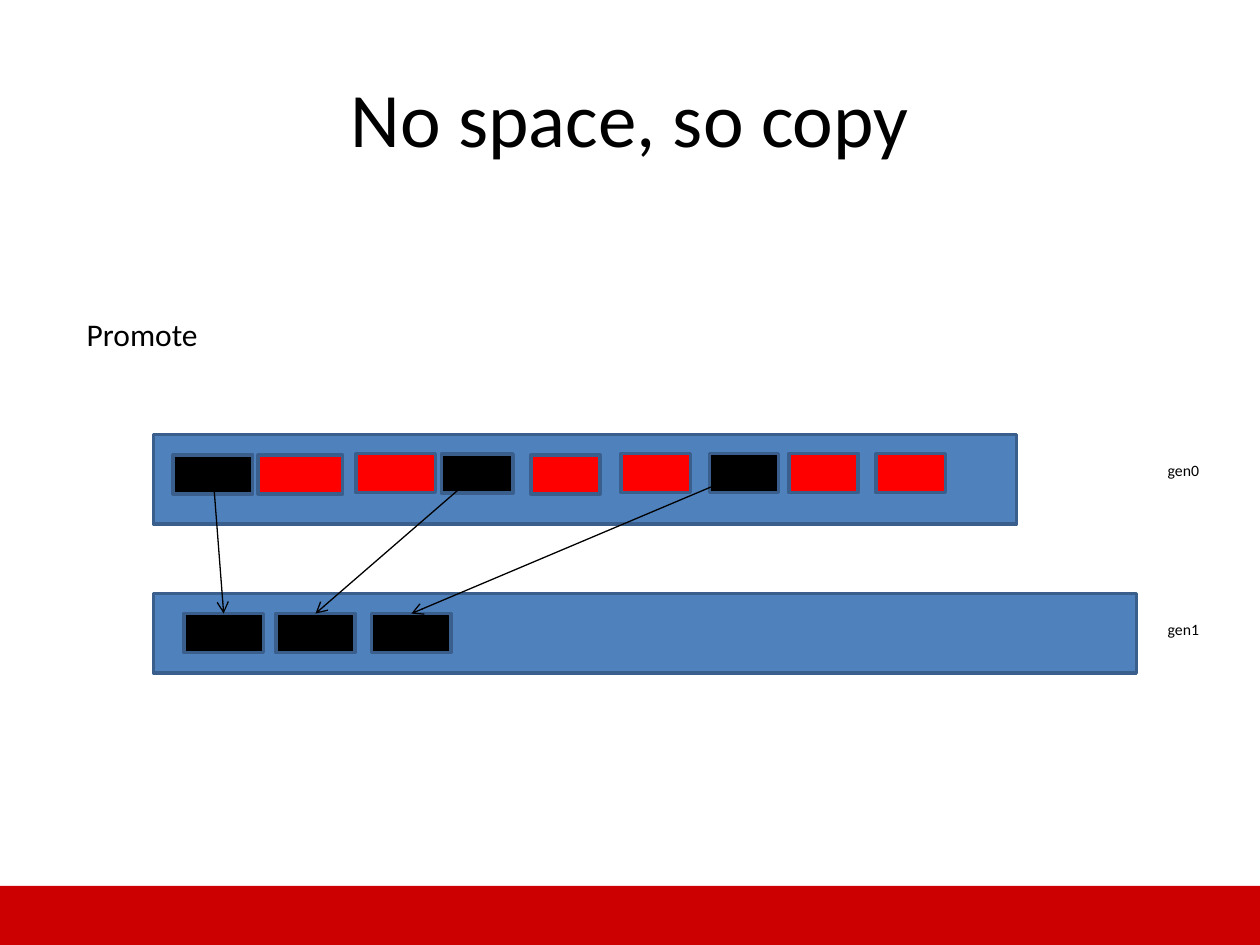
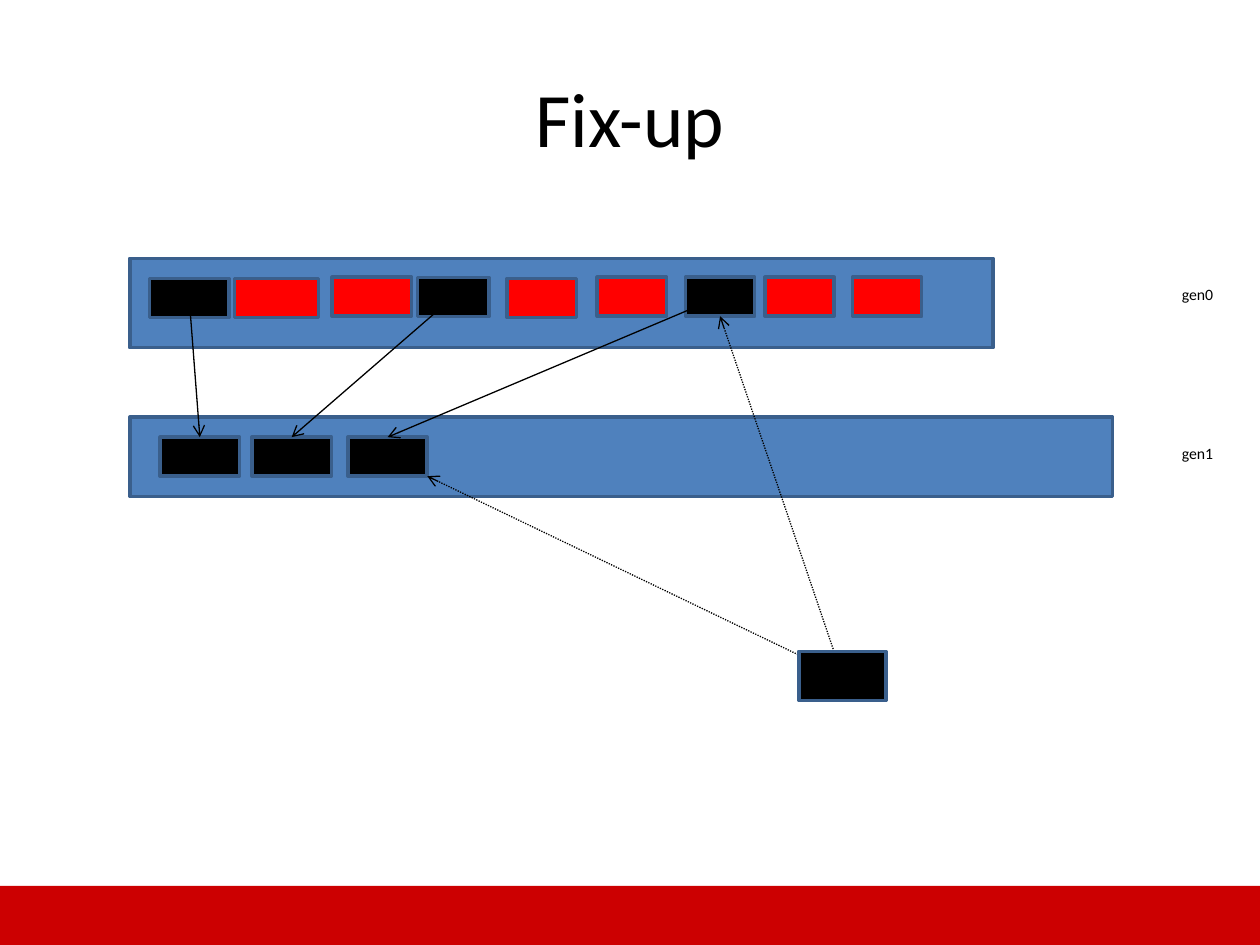
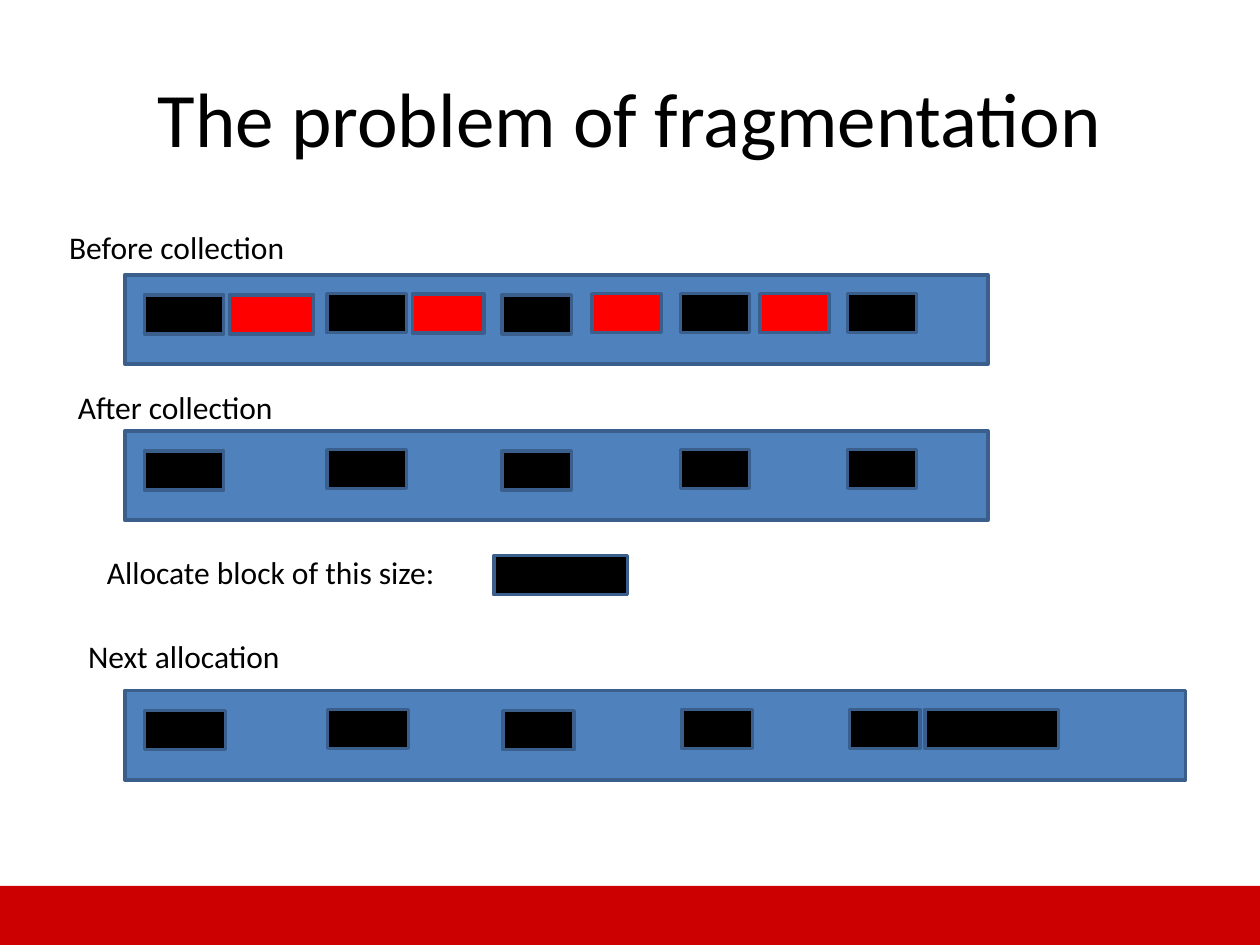
from pptx import Presentation
from pptx.dml.color import RGBColor
from pptx.enum.dml import MSO_LINE
from pptx.enum.shapes import MSO_CONNECTOR, MSO_SHAPE
from pptx.enum.text import MSO_ANCHOR, MSO_AUTO_SIZE, PP_ALIGN
from pptx.oxml.ns import qn
from pptx.util import Pt
from lxml.etree import SubElement

BLACK = RGBColor(0x00, 0x00, 0x00)
RED = RGBColor(0xFF, 0x00, 0x00)
BLUE = RGBColor(0x4F, 0x81, 0xBD)
EDGE = RGBColor(0x3A, 0x5F, 0x8C)
BAND = RGBColor(0xCC, 0x00, 0x01)
FONT = "Calibri"
TOP, BOTTOM = 0, 2

# Blocks of a heap: offset from its left and top edge, then width
SLOTS = [(11.2, 11.5, 45.4), (59.8, 11.5, 48.2), (115.6, 10.8, 45.4),
         (164.4, 11, 41), (215.6, 11.5, 39.6), (267.1, 10.8, 39.6),
         (317.5, 10.8, 39.6), (362.9, 10.8, 39.6), (412.9, 10.8, 39.6)]
HEAP_W, HEAP_H, BLOCK_H = 493.2, 51.1, 22.3


def block(shapes, x, y, w, h, fill, edge=EDGE):
    box = shapes.add_shape(MSO_SHAPE.RECTANGLE, Pt(x), Pt(y), Pt(w), Pt(h))
    box.shadow.inherit = False
    box.fill.solid()
    box.fill.fore_color.rgb = fill
    if edge is None:
        box.line.fill.background()
    else:
        box.line.color.rgb = edge
        box.line.width = Pt(2)
    return box


def arrow(shapes, start, x, y):
    """Draw an arrow from the centre of a block to a point."""
    line = shapes.add_connector(
        MSO_CONNECTOR.STRAIGHT, start.left + start.width // 2,
        start.top + start.height // 2, x, y)
    line.line.color.rgb = BLACK
    line.line.width = Pt(0.75)
    props = line._element.spPr
    SubElement(props.find(qn("a:ln")), qn("a:tailEnd"), type="arrow")
    SubElement(props, qn("a:effectLst"))
    return line


deck = Presentation()
deck.slide_width, deck.slide_height = Pt(720), Pt(540)

# Titles and bottom bands
slides = []
for text in ["No space, so copy", "Fix-up", "The problem of fragmentation"]:
    slide = deck.slides.add_slide(deck.slide_layouts[5])
    title = slide.shapes.title
    title.left, title.top = Pt(36), Pt(21.6)
    title.width, title.height = Pt(648), Pt(90)
    title.text_frame.vertical_anchor = MSO_ANCHOR.MIDDLE
    para = title.text_frame.paragraphs[0]
    para.alignment = PP_ALIGN.CENTER
    run = para.add_run()
    run.text = text
    run.font.name, run.font.size = FONT, Pt(44)
    run.font.color.rgb = BLACK
    block(slide.shapes, 0, 506.2, 720, 33.8, BAND, None)
    slides.append(slide)
copy, fix, frag = slides

# Live blocks move from gen0 to gen1
for slide, x, y in [(copy, 87.8, 248.4), (fix, 74.2, 147.6)]:
    shapes = slide.shapes.add_group_shape().shapes
    block(shapes, x, y, HEAP_W, HEAP_H, BLUE)
    block(shapes, x, y + 90.7, 561.6, 45.4, BLUE)
    old = [block(shapes, x + dx, y + dy, w, BLOCK_H,
                 BLACK if i % 3 == 0 else RED)
           for i, (dx, dy, w) in enumerate(SLOTS)]
    new = [block(shapes, x + dx, y + 102.2, 45.4, BLOCK_H, BLACK)
           for dx in (17.3, 69.8, 124.6)]
    for start, end in zip(old[::3], new):
        line = arrow(shapes, start, end.left + end.width // 2, end.top)
        line.end_connect(end, TOP)

# A reference to the last block moved, before and after
root = block(fix.shapes, 456.5, 372.2, 49.7, 28.1, BLACK)
live, moved = old[6], new[2]
before = arrow(fix.shapes, root, live.left + live.width // 2,
               live.top + live.height)
before.end_connect(live, BOTTOM)
after = arrow(fix.shapes, root, moved.left + moved.width,
              moved.top + moved.height)
for line in (before, after):
    line.line.dash_style = MSO_LINE.ROUND_DOT
# The root covers the start of its arrows
fix.shapes._spTree.append(root._element)

# Heap before collection, after it, and after the next allocation
wide = [(dx * 1.003, dy, w * 1.02) for dx, dy, w in SLOTS[::2]]
for y, width, slots, fills in [
        (157, HEAP_W, SLOTS, [BLACK, RED]),
        (246.2, HEAP_W, SLOTS[::2], [BLACK]),
        (394.6, 606.2, wide + [(457.2, 10.8, 76.3)], [BLACK])]:
    shapes = frag.shapes.add_group_shape().shapes
    block(shapes, 71.3, y, width, HEAP_H, BLUE)
    for i, (dx, dy, w) in enumerate(slots):
        block(shapes, 71.3 + dx, y + dy, w, BLOCK_H, fills[i % len(fills)])
block(frag.shapes, 282.2, 317.5, 76.3, BLOCK_H, BLACK)

# Labels
for slide, text, x, y, w, h, size in [
        (copy, "Promote", 42.5, 176.4, 83.5, 29, 18),
        (copy, "gen0", 660.2, 260, 34.6, 18, 9),
        (copy, "gen1", 660.2, 350.7, 34.6, 18, 9),
        (fix, "gen0", 668.2, 159.1, 34.6, 18, 9),
        (fix, "gen1", 668.2, 249.8, 34.6, 18, 9),
        (frag, "Before collection", 32.4, 126.7, 149, 29, 18),
        (frag, "After collection", 37.4, 218.2, 134, 29, 18),
        (frag, "Allocate block of this size:", 54, 312.5, 222.5, 29, 18),
        (frag, "Next allocation", 43.2, 360.7, 134, 29, 18)]:
    frame = slide.shapes.add_textbox(Pt(x), Pt(y), Pt(w), Pt(h)).text_frame
    frame.word_wrap = False
    frame.auto_size = MSO_AUTO_SIZE.SHAPE_TO_FIT_TEXT
    run = frame.paragraphs[0].add_run()
    run.text = text
    run.font.name, run.font.size = FONT, Pt(size)
    run.font.color.rgb = BLACK

deck.save("out.pptx")
